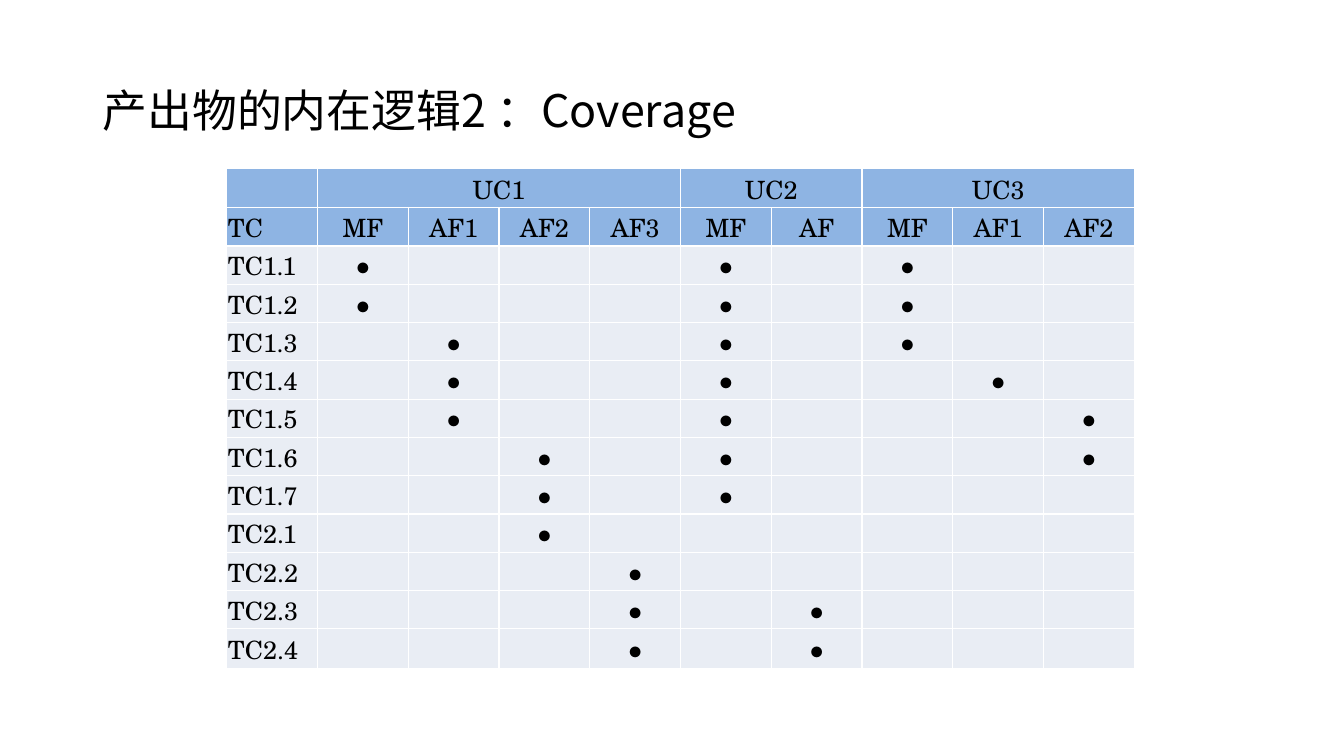
from dataclasses import dataclass

from lxml import etree
from pptx import Presentation
from pptx.dml.color import RGBColor
from pptx.enum.text import MSO_ANCHOR, PP_ALIGN
from pptx.oxml.ns import qn
from pptx.slide import Slide
from pptx.table import Table, _Cell
from pptx.text.text import _Paragraph
from pptx.util import Inches, Pt

LEFT, CENTER = PP_ALIGN.LEFT, PP_ALIGN.CENTER
MIDDLE, BOTTOM = MSO_ANCHOR.MIDDLE, MSO_ANCHOR.BOTTOM


@dataclass(frozen=True)
class Theme:
    head: str = "8EB4E3"
    body: str = "E9EDF4"
    line: str = "FFFFFF"
    ink: str = "000000"
    title_font: str = "Noto Sans CJK SC"
    grid_font: str = "TeX Gyre Schola"
    title_size: int = 32
    grid_size: int = 18


@dataclass(frozen=True)
class UseCase:
    name: str
    flows: tuple[str, ...]


@dataclass(frozen=True)
class TestCase:
    name: str
    hits: tuple[int, ...]


THEME = Theme()
DOT = "●"
USES = (
    UseCase("UC1", ("MF", "AF1", "AF2", "AF3")),
    UseCase("UC2", ("MF", "AF")),
    UseCase("UC3", ("MF", "AF1", "AF2")),
)
TESTS = (
    TestCase("TC1.1", (1, 5, 7)),
    TestCase("TC1.2", (1, 5, 7)),
    TestCase("TC1.3", (2, 5, 7)),
    TestCase("TC1.4", (2, 5, 8)),
    TestCase("TC1.5", (2, 5, 9)),
    TestCase("TC1.6", (3, 5, 9)),
    TestCase("TC1.7", (3, 5)),
    TestCase("TC2.1", (3,)),
    TestCase("TC2.2", (4,)),
    TestCase("TC2.3", (4, 6)),
    TestCase("TC2.4", (4, 6)),
)


def add_run(para: _Paragraph, text: str, font: str, size: int) -> None:
    run = para.add_run()
    run.text = text
    run.font.size = Pt(size)
    run.font.name = font
    run.font.color.rgb = RGBColor.from_string(THEME.ink)
    east = etree.SubElement(run.font._element, qn("a:ea"))
    east.set("typeface", font)


def add_title(slide: Slide, text: str) -> None:
    box = slide.shapes.add_textbox(Inches(0.92), Inches(0.4), Inches(11.5), Inches(1.45))
    frame = box.text_frame
    frame.word_wrap = True
    frame.vertical_anchor = MIDDLE
    para = frame.paragraphs[0]
    para.line_spacing = 0.9
    add_run(para, text, THEME.title_font, THEME.title_size)


def style_cell(cell: _Cell, fill: str) -> None:
    cell.fill.solid()
    cell.fill.fore_color.rgb = RGBColor.from_string(fill)
    cell.vertical_anchor = BOTTOM
    cell.margin_left = cell.margin_right = cell.margin_top = Inches(0.01)
    cell.margin_bottom = 0
    props = cell._tc.get_or_add_tcPr()
    for spot, side in enumerate(("lnL", "lnR", "lnT", "lnB")):
        line = etree.Element(qn(f"a:{side}"), w=str(Pt(1)))
        paint = etree.SubElement(line, qn("a:solidFill"))
        etree.SubElement(paint, qn("a:srgbClr"), val=THEME.line)
        props.insert(spot, line)


def write_cell(cell: _Cell, text: str, align: PP_ALIGN = CENTER) -> None:
    para = cell.text_frame.paragraphs[0]
    para.alignment = align
    add_run(para, text, THEME.grid_font, THEME.grid_size)


def fill_heads(table: Table) -> None:
    write_cell(table.cell(1, 0), "TC", LEFT)
    col = 1
    for use in USES:
        last = col + len(use.flows) - 1
        table.cell(0, col).merge(table.cell(0, last))
        write_cell(table.cell(0, col), use.name)
        for step, flow in enumerate(use.flows):
            write_cell(table.cell(1, col + step), flow)
        col = last + 1


def fill_tests(table: Table) -> None:
    for row, test in enumerate(TESTS, 2):
        write_cell(table.cell(row, 0), test.name, LEFT)
        for col in test.hits:
            write_cell(table.cell(row, col), DOT)


def add_grid(slide: Slide) -> None:
    rows = len(TESTS) + 2
    cols = 1 + sum(len(use.flows) for use in USES)
    frame = slide.shapes.add_table(
        rows, cols, Inches(2.25), Inches(1.67), Inches(9), Inches(4.91)
    )
    table = frame.table
    table.first_row = table.horz_banding = False
    for col in table.columns:
        col.width = Inches(0.9)
    for index, row in enumerate(table.rows):
        row.height = Inches(0.39 if index in (0, rows - 1) else 0.38)
        for cell in row.cells:
            style_cell(cell, THEME.head if index < 2 else THEME.body)
    fill_heads(table)
    fill_tests(table)


def main() -> None:
    deck = Presentation()
    deck.slide_width, deck.slide_height = Inches(13.33), Inches(7.5)
    slide = deck.slides.add_slide(deck.slide_layouts[6])
    add_title(slide, "产出物的内在逻辑2 ：Coverage")
    add_grid(slide)
    deck.save("out.pptx")


if __name__ == "__main__":
    main()
